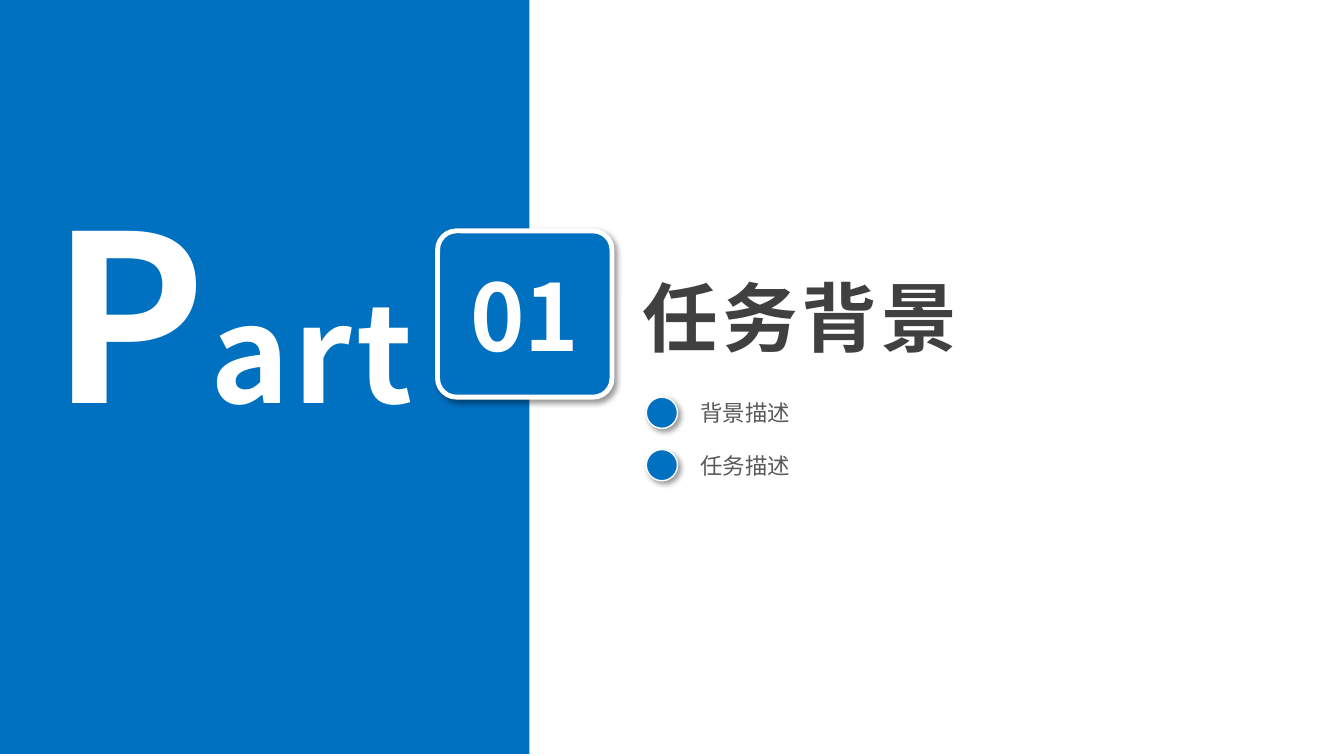
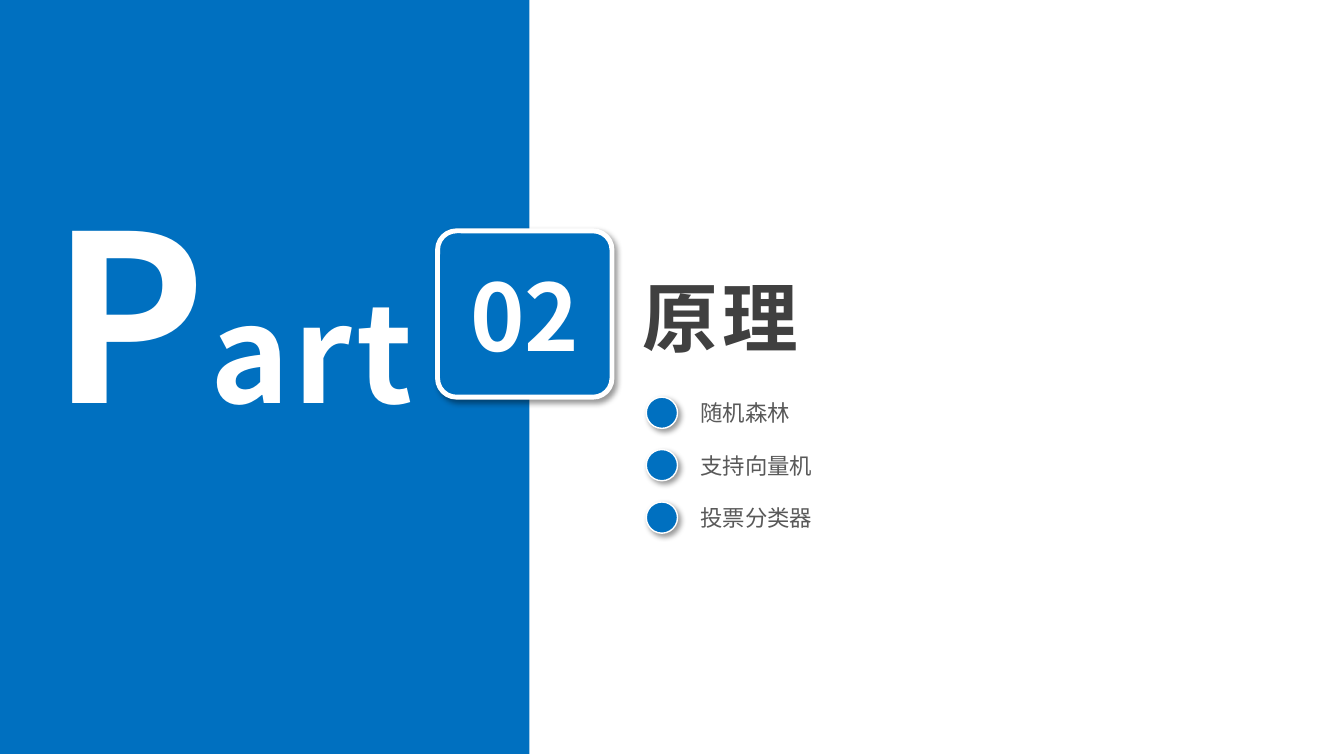
from lxml.etree import SubElement
from pptx import Presentation
from pptx.dml.color import RGBColor
from pptx.enum.shapes import MSO_SHAPE
from pptx.enum.text import MSO_ANCHOR, MSO_AUTO_SIZE, PP_ALIGN
from pptx.oxml.ns import qn
from pptx.util import Inches, Pt

SECTIONS = [
    ("01", "任务背景", ["背景描述", "任务描述"]),
    ("02", "原理", ["随机森林", "支持向量机", "投票分类器"]),
]

FONT = "Noto Sans CJK SC"
COLORS = {
    "blue": "0070C0",
    "white": "FFFFFF",
    "title": "404040",
    "item": "595959",
    "shadow": "000000",
}
ITEM_TOP, ITEM_STEP, ITEM_HEIGHT = 3.91, 0.52, 0.37
DOT_SIZE = 0.31


def rgb(name):
    return RGBColor.from_string(COLORS[name])


def write(box, *runs, color, bold=False, spacing=0, align=PP_ALIGN.LEFT):
    """Fill a text box or placeholder with (text, point size) runs."""
    frame = box.text_frame
    frame.word_wrap = True
    frame.auto_size = MSO_AUTO_SIZE.SHAPE_TO_FIT_TEXT
    frame.vertical_anchor = MSO_ANCHOR.MIDDLE
    paragraph = frame.paragraphs[0]
    paragraph.alignment = align
    for text, size in runs:
        run = paragraph.add_run()
        run.text = text
        run.font.size = Pt(size)
        run.font.bold = bold
        run.font.color.rgb = rgb(color)
        run.font.name = FONT
        properties = run.font._element
        SubElement(properties, qn("a:ea"), typeface=FONT)
        if spacing:
            properties.set("spc", str(spacing * 100))


def add_text(shapes, area, *runs, **style):
    write(shapes.add_textbox(*map(Inches, area)), *runs, **style)


def add_blue_shape(shapes, kind, area, outline=0):
    """Add a blue shape; an outlined one also casts a soft shadow."""
    shape = shapes.add_shape(kind, *map(Inches, area))
    shape.shadow.inherit = False
    shape.fill.solid()
    shape.fill.fore_color.rgb = rgb("blue")
    if not outline:
        shape.line.fill.background()
        return shape
    shape.line.color.rgb = rgb("white")
    shape.line.width = Pt(outline)
    effects = shape._element.spPr.find(qn("a:effectLst"))
    shadow = SubElement(effects, qn("a:outerShdw"), blurRad=str(Pt(4)),
                        dist=str(Pt(3)), dir=str(45 * 60000),
                        algn="tl", rotWithShape="0")
    tint = SubElement(shadow, qn("a:srgbClr"), val=COLORS["shadow"])
    SubElement(tint, qn("a:alpha"), val="40000")
    return shape


def add_badge(slide, number):
    badge = slide.shapes.add_group_shape().shapes
    tile = add_blue_shape(badge, MSO_SHAPE.ROUNDED_RECTANGLE,
                          (4.34, 2.29, 1.73, 1.65), outline=3.5)
    tile.adjustments[0] = 0.114
    add_text(badge, (4.28, 2.52, 1.85, 1.21), (number, 66),
             color="white", bold=True, align=PP_ALIGN.CENTER)


def add_section(deck, number, heading, items):
    slide = deck.slides.add_slide(deck.slide_layouts[5])
    shapes = slide.shapes
    add_blue_shape(shapes, MSO_SHAPE.RECTANGLE, (0, -0.02, 5.25, 7.5))
    add_text(shapes, (-0.83, 1.64, 6.27, 2.89), ("P", 166), ("art", 96),
             color="white", bold=True, spacing=3, align=PP_ALIGN.CENTER)
    add_badge(slide, number)

    title = shapes.title
    title.left, title.top, title.width, title.height = map(
        Inches, (6.27, 2.63, 5.48, 1.01))
    write(title, (heading, 54), color="title", bold=True, spacing=3)

    for index, item in enumerate(items):
        top = ITEM_TOP + index * ITEM_STEP
        add_text(shapes, (6.85, top, 2.73, ITEM_HEIGHT), (item, 16),
                 color="item")
        dot_top = top + (ITEM_HEIGHT - DOT_SIZE) / 2
        add_blue_shape(shapes, MSO_SHAPE.OVAL,
                       (6.41, dot_top, DOT_SIZE, DOT_SIZE), outline=1)


def main():
    deck = Presentation()
    deck.slide_width, deck.slide_height = Inches(13.33), Inches(7.5)
    for section in SECTIONS:
        add_section(deck, *section)
    deck.save("out.pptx")


if __name__ == "__main__":
    main()
